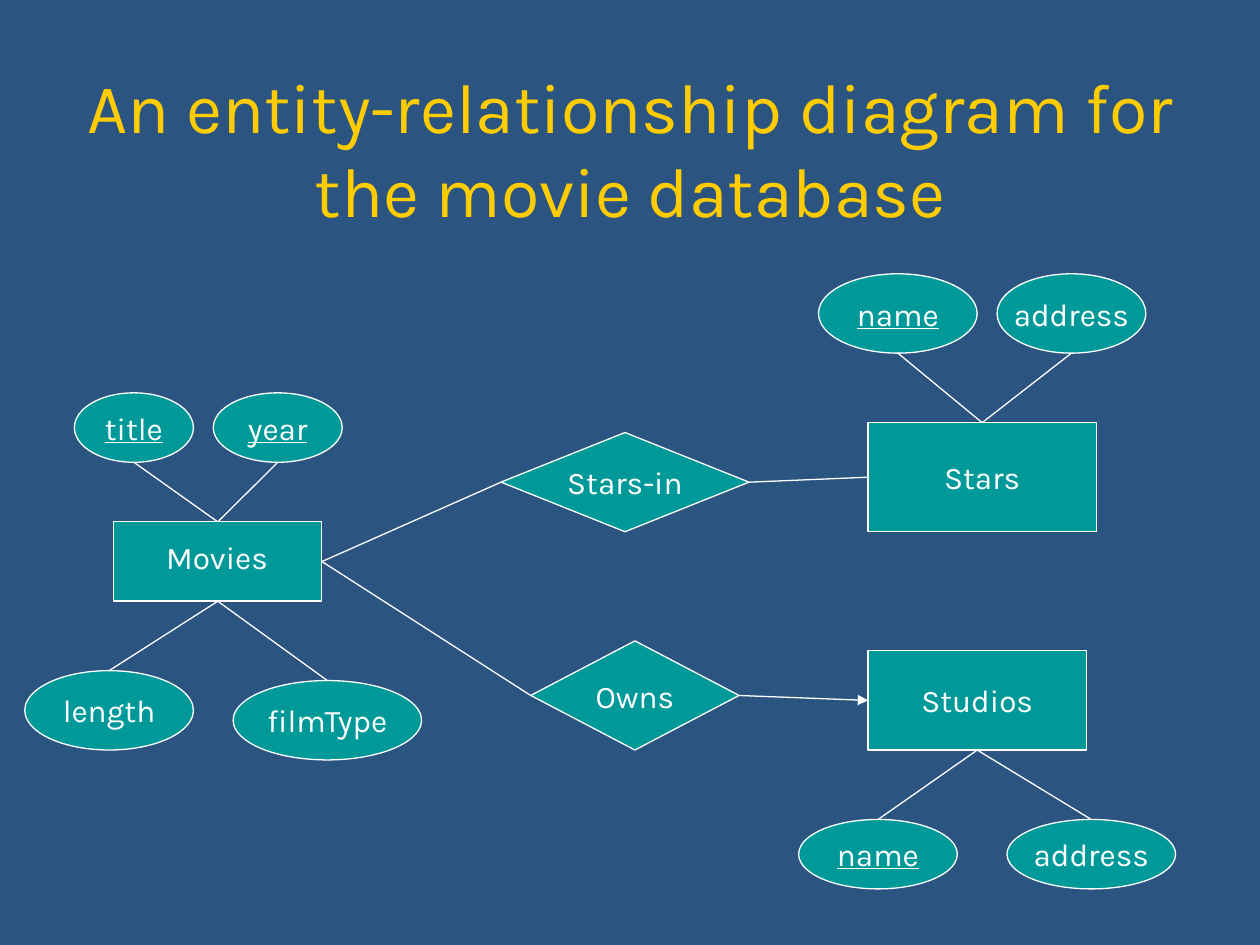
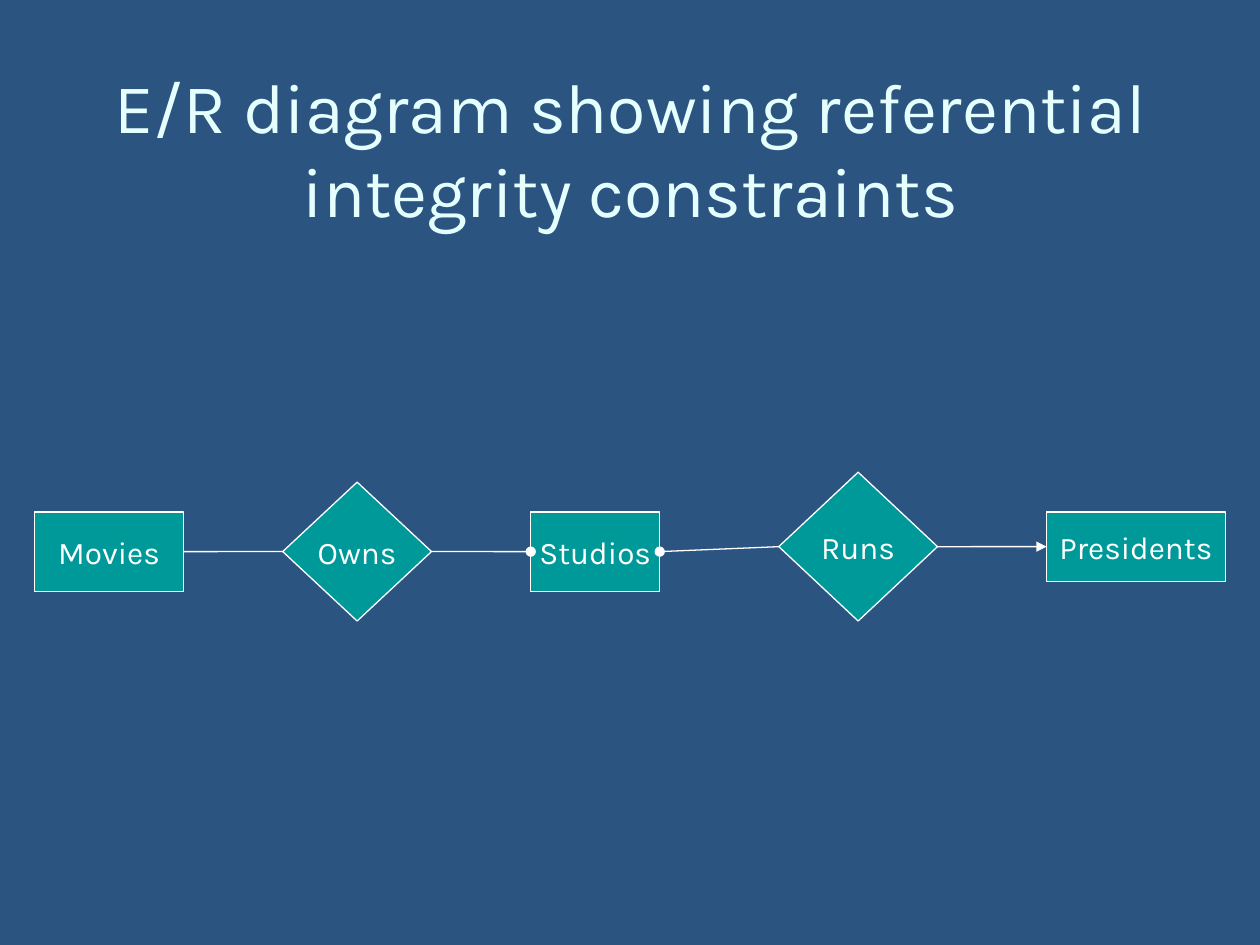
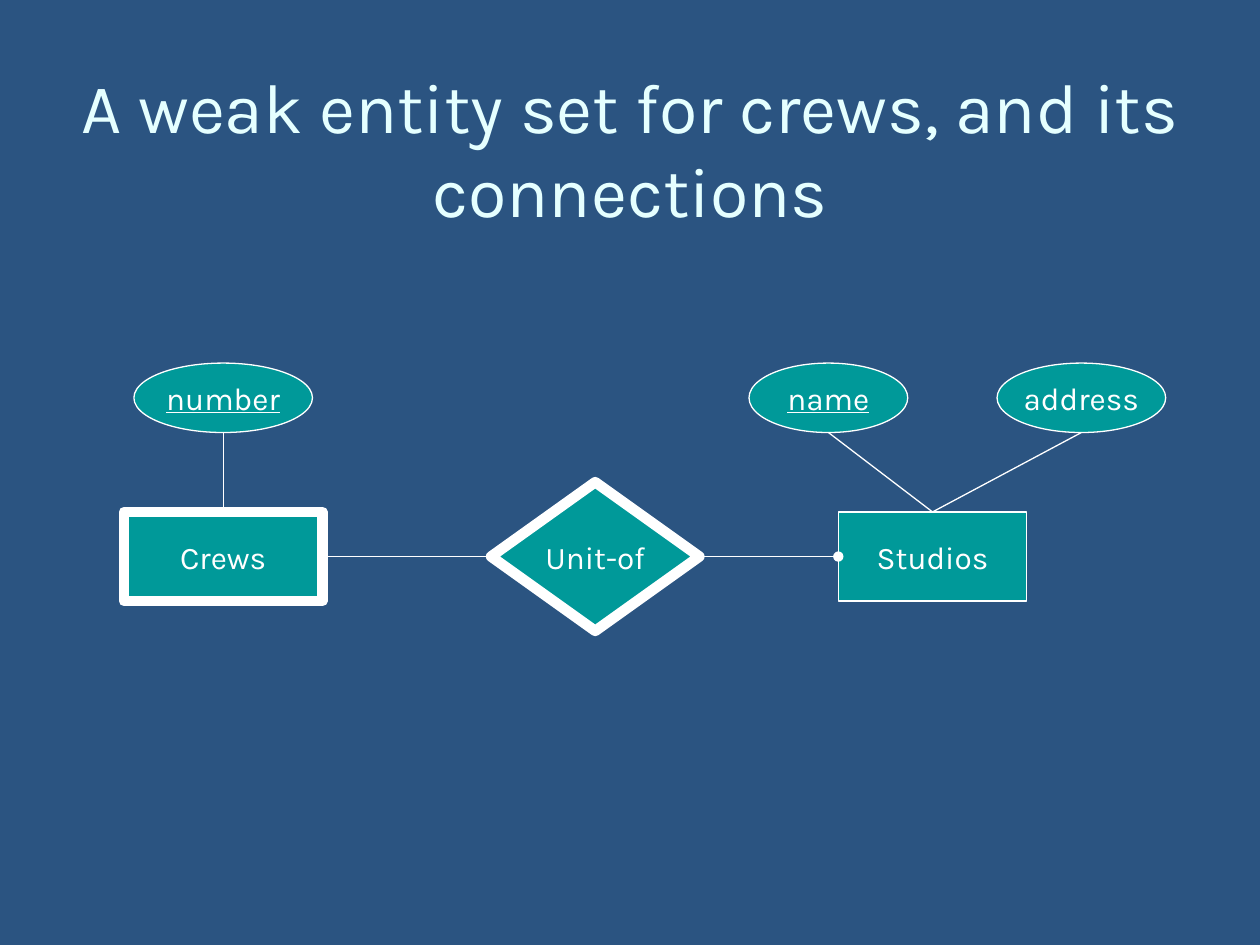
from pptx import Presentation
from pptx.dml.color import RGBColor
from pptx.enum.shapes import MSO_CONNECTOR, MSO_SHAPE
from pptx.enum.text import MSO_ANCHOR, MSO_AUTO_SIZE, PP_ALIGN
from pptx.oxml.ns import qn
from pptx.util import Cm, Pt
from lxml import etree

COLORS = {"back": "2B5481", "teal": "009999", "white": "FFFFFF",
          "gold": "FFCC00", "ice": "E5FFFF"}
RGB = {name: RGBColor.from_string(value) for name, value in COLORS.items()}
TITLE = {"name": "Karla", "size": Pt(40)}
LABEL = {"name": "Karla", "size": Pt(18)}
TITLE_BOX = {"left": Cm(1.27), "top": Cm(1.06), "width": Cm(22.86), "height": Cm(3.81)}
CENTERED = {"vertical_anchor": MSO_ANCHOR.MIDDLE, "word_wrap": False}
KINDS = {"entity": MSO_SHAPE.RECTANGLE, "attribute": MSO_SHAPE.OVAL,
         "relation": MSO_SHAPE.FLOWCHART_DECISION}
SIDES = {"top": (0.5, 0), "left": (0, 0.5), "bottom": (0.5, 1), "right": (1, 0.5)}
KEY_ATTRIBUTES = {"title", "year", "name", "number"}
THIN, THICK = Pt(0.75), Pt(6)
STRAIGHT, ELBOW = MSO_CONNECTOR.STRAIGHT, MSO_CONNECTOR.ELBOW

SLIDES = [
    {
        "title": "An entity-relationship diagram for the movie database",
        "color": "gold",
        "nodes": [
            ("Movies", "", "entity", THIN, 2.29, 10.52, 4.2, 1.6),
            ("title", "title", "attribute", THIN, 1.5, 7.92, 2.4, 1.4),
            ("year", "year", "attribute", THIN, 4.3, 7.92, 2.6, 1.4),
            ("length", "length", "attribute", THIN, 0.5, 13.52, 3.4, 1.6),
            ("filmType", "filmType", "attribute", THIN, 4.7, 13.72, 3.8, 1.6),
            ("Stars-in", "Stars-in", "relation", THIN, 10.1, 8.72, 5, 2),
            ("Owns", "Owns", "relation", THIN, 10.7, 12.92, 4.2, 2.2),
            ("Stars", "Stars", "entity", THIN, 17.5, 8.52, 4.6, 2.2),
            ("star name", "name", "attribute", THIN, 16.5, 5.52, 3.2, 1.6),
            ("star address", "address", "attribute", THIN, 20.1, 5.52, 3, 1.6),
            ("Studios", "Studios", "entity", THIN, 17.5, 13.12, 4.4, 2),
            ("studio name", "name", "attribute", THIN, 16.1, 16.52, 3.2, 1.4),
            ("studio address", "address", "attribute", THIN, 20.3, 16.52, 3.4, 1.4),
        ],
        "links": [
            ("length", "top", "Movies", "bottom", STRAIGHT, None),
            ("filmType", "top", "Movies", "bottom", STRAIGHT, None),
            ("title", "bottom", "Movies", "top", STRAIGHT, None),
            ("year", "bottom", "Movies", "top", STRAIGHT, None),
            ("studio name", "top", "Studios", "bottom", STRAIGHT, None),
            ("studio address", "top", "Studios", "bottom", STRAIGHT, None),
            ("star name", "bottom", "Stars", "top", STRAIGHT, None),
            ("star address", "bottom", "Stars", "top", STRAIGHT, None),
            ("Movies", "right", "Stars-in", "left", STRAIGHT, None),
            ("Stars-in", "right", "Stars", "left", STRAIGHT, None),
            ("Movies", "right", "Owns", "left", STRAIGHT, None),
            ("Owns", "right", "Studios", "left", STRAIGHT, "triangle"),
        ],
        "captions": [("Movies", 3.1, 10.72, 2.6, 1.02)],
    },
    {
        "title": "E/R diagram showing referential integrity constraints",
        "color": "ice",
        "nodes": [
            ("Studios", "Studios", "entity", THIN, 10.7, 10.32, 2.6, 1.6),
            ("Presidents", "Presidents", "entity", THIN, 21.1, 10.32, 3.6, 1.4),
            ("Runs", "Runs", "relation", THIN, 15.7, 9.52, 3.2, 3),
            ("Movies", "Movies", "entity", THIN, 0.7, 10.32, 3, 1.6),
            ("Owns", "Owns", "relation", THIN, 5.7, 9.72, 3, 2.8),
        ],
        "links": [
            ("Runs", "right", "Presidents", "left", STRAIGHT, "triangle"),
            ("Runs", "left", "Studios", "right", STRAIGHT, "oval"),
            ("Movies", "right", "Owns", "left", STRAIGHT, None),
            ("Owns", "right", "Studios", "left", STRAIGHT, "oval"),
        ],
        "captions": [],
    },
    {
        "title": "A weak entity set for crews, and its connections",
        "color": "ice",
        "nodes": [
            ("Crews", "Crews", "entity", THICK, 2.5, 10.32, 4, 1.8),
            ("Studios", "Studios", "entity", THIN, 16.9, 10.32, 3.8, 1.8),
            ("Unit-of", "Unit-of", "relation", THICK, 9.9, 9.72, 4.2, 3),
            ("number", "number", "attribute", THIN, 2.7, 7.32, 3.6, 1.4),
            ("name", "name", "attribute", THIN, 15.1, 7.32, 3.2, 1.4),
            ("address", "address", "attribute", THIN, 20.1, 7.32, 3.4, 1.4),
        ],
        "links": [
            ("Crews", "right", "Unit-of", "left", ELBOW, None),
            ("Unit-of", "right", "Studios", "left", ELBOW, "oval"),
            ("name", "bottom", "Studios", "top", STRAIGHT, None),
            ("address", "bottom", "Studios", "top", STRAIGHT, None),
            ("number", "bottom", "Crews", "top", STRAIGHT, None),
        ],
        "captions": [],
    },
]


def write(tf, text, style, color, align):
    p = tf.paragraphs[0]
    p.alignment = align
    r = p.add_run()
    r.text = text
    for name, value in style.items():
        setattr(r.font, name, value)
    r.font.color.rgb = RGB[color]


def anchor(shape, side):
    fx, fy = SIDES[side]
    return int(shape.left + fx * shape.width), int(shape.top + fy * shape.height)


prs = Presentation()
prs.slide_width, prs.slide_height = Cm(25.4), Cm(19.05)
fill = prs.slide_master.background.fill
fill.solid()
fill.fore_color.rgb = RGB["back"]

for data in SLIDES:
    s = prs.slides.add_slide(prs.slide_layouts[5])
    title = s.shapes.title
    for name, value in TITLE_BOX.items():
        setattr(title, name, value)
    tf = title.text_frame
    tf.auto_size = MSO_AUTO_SIZE.NONE
    tf.vertical_anchor = MSO_ANCHOR.MIDDLE
    write(tf, data["title"], TITLE, data["color"], PP_ALIGN.CENTER)

    nodes = {}
    for key, text, kind, weight, *box in data["nodes"]:
        sp = s.shapes.add_shape(KINDS[kind], *map(Cm, box))
        sp.shadow.inherit = False
        sp.fill.solid()
        sp.fill.fore_color.rgb = RGB["teal"]
        sp.line.color.rgb = RGB["white"]
        sp.line.width = weight
        for name, value in CENTERED.items():
            setattr(sp.text_frame, name, value)
        if text:
            style = {**LABEL, "underline": text in KEY_ATTRIBUTES}
            write(sp.text_frame, text, style, "white", PP_ALIGN.CENTER)
        nodes[key] = sp

    for text, *box in data["captions"]:
        tb = s.shapes.add_textbox(*map(Cm, box))
        tb.text_frame.word_wrap = True
        write(tb.text_frame, text, LABEL, "white", PP_ALIGN.LEFT)

    for start, start_side, end, end_side, route, tail in data["links"]:
        cxn = s.shapes.add_connector(route, *anchor(nodes[start], start_side),
                                     *anchor(nodes[end], end_side))
        cxn.line.color.rgb = RGB["white"]
        cxn.line.width = THIN
        if tail:
            etree.SubElement(cxn.line._get_or_add_ln(), qn("a:tailEnd"), type=tail)
        etree.SubElement(cxn._element.spPr, qn("a:effectLst"))

prs.save("out.pptx")
